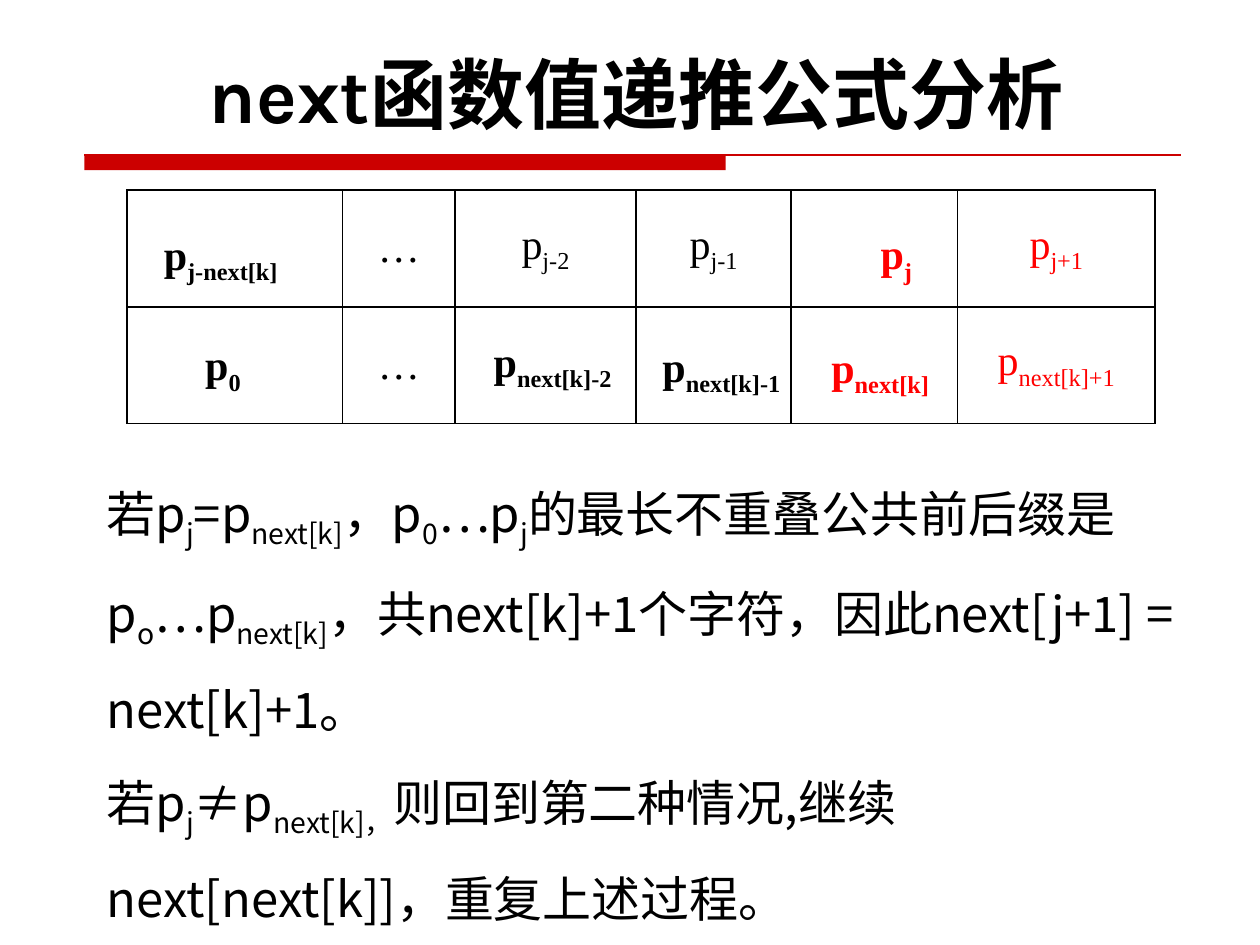
from lxml import etree
from pptx import Presentation
from pptx import util as u
from pptx.dml import color
from pptx.enum import shapes, text
from pptx.oxml import ns

COLORS = {"black": "000000", "red": "FF0000", "band": "CC0000", "white": "FFFFFF"}
SERIF = {"name": "Times New Roman", "size": u.Pt(24)}
SERIF_BOLD = {**SERIF, "bold": True}
BODY = {"name": "Noto Sans CJK SC", "size": u.Pt(28)}
TITLE = {"name": "Karla", "size": u.Pt(44), "bold": True}
CJK = "Noto Sans CJK SC"

COLUMNS = [1.71, 0.89, 1.44, 1.23, 1.32, 1.57]
CELLS = [
    [("", "black"), ("…", "black"), ("p|j-2", "black"),
     ("p|j-1", "black"), ("", "red"), ("p|j+1", "red")],
    [("", "black"), ("…", "black"), ("", "black"),
     ("", "black"), ("", "red"), ("p|next[k]+1", "red")],
]
LABELS = [
    ("p|j", (6.89, 1.76, 0.63, 0.5), "red"),
    ("p|next[k]", (6.5, 2.66, 1.1, 0.5), "red"),
    ("p|next[k]-1", (5.16, 2.65, 1.34, 0.5), "black"),
    ("p|next[k]-2", (3.82, 2.61, 1.34, 0.5), "black"),
]
PLATES = [
    ("p|j-next[k]", (1.3, 1.81, 1.18, 0.4), 0),
    ("p|0", (1.53, 2.64, 0.71, 0.5), None),
]
PARAGRAPHS = [
    "若p|j|=p|next[k]|，p|0|…p|j|的最长不重叠公共前后缀是",
    "p|o|…p|next[k]|，共next[k]+1个字符，因此next[j+1] = next[k]+1。",
    "若p|j|≠p|next[k]，|则回到第二种情况,继续next[next[k]]，重复上述过程。",
]


def rgb(name):
    return color.RGBColor.from_string(COLORS[name])


def add_runs(p, marked, font, ink="black"):
    for i, part in enumerate(marked.split("|")):
        r = p.add_run()
        r.text = part
        for key, value in font.items():
            setattr(r.font, key, value)
        r.font.color.rgb = rgb(ink)
        props = r._r.get_or_add_rPr()
        etree.SubElement(props, ns.qn("a:ea"), typeface=CJK)
        if i % 2:
            props.set("baseline", "-25000")


def add_text(s, box, lines, font, ink="black", align=None, spacing=None):
    sp = s.shapes.add_textbox(*map(u.Inches, box))
    tf = sp.text_frame
    tf.word_wrap = True
    for i, line in enumerate(lines):
        p = tf.add_paragraph() if i else tf.paragraphs[0]
        p.alignment = align
        p.line_spacing = spacing
        add_runs(p, line, font, ink)


def add_rectangle(s, box, fill):
    sp = s.shapes.add_shape(shapes.MSO_SHAPE.RECTANGLE, *map(u.Inches, box))
    sp.shadow.inherit = False
    sp.fill.solid()
    sp.fill.fore_color.rgb = rgb(fill)
    sp.line.fill.background()
    return sp


def add_title(s, box):
    add_text(s, box, ["next函数值递推公式分析"], TITLE,
             align=text.PP_ALIGN.CENTER, spacing=1.15)


def add_rule(s, box):
    left, top, width, height = box
    add_rectangle(s, (left, top, 5.09, height), "band")
    ends = map(u.Inches, (left, top, left + width, top))
    line = s.shapes.add_connector(shapes.MSO_CONNECTOR.STRAIGHT, *ends)
    line.line.color.rgb = rgb("band")
    line.line.width = u.Pt(0.75)
    etree.SubElement(line._element.spPr, ns.qn("a:effectLst"))


def add_borders(cell):
    props = cell._tc.get_or_add_tcPr()
    for side in "LRTB":
        ln = etree.SubElement(props, ns.qn(f"a:ln{side}"), w=str(u.Pt(1)))
        fill = etree.SubElement(ln, ns.qn("a:solidFill"))
        etree.SubElement(fill, ns.qn("a:srgbClr"), val=COLORS["black"])


def add_pattern_table(s, box):
    table = s.shapes.add_table(len(CELLS), len(COLUMNS), *map(u.Inches, box)).table
    table.first_row = table.horz_banding = False
    for column, width in zip(table.columns, COLUMNS):
        column.width = u.Inches(width)
    for i, row in enumerate(CELLS):
        table.rows[i].height = u.Inches(box[3] / len(CELLS))
        for j, (marked, ink) in enumerate(row):
            cell = table.cell(i, j)
            add_borders(cell)
            cell.fill.solid()
            cell.fill.fore_color.rgb = rgb("white")
            cell.vertical_anchor = text.MSO_ANCHOR.MIDDLE
            p = cell.text_frame.paragraphs[0]
            p.alignment = text.PP_ALIGN.CENTER
            if marked:
                add_runs(p, marked, SERIF, ink)


def add_plate(s, box, marked, inset):
    tf = add_rectangle(s, box, "white").text_frame
    tf.word_wrap = True
    tf.vertical_anchor = text.MSO_ANCHOR.TOP
    if inset is not None:
        for side in ("left", "top", "right", "bottom"):
            setattr(tf, f"margin_{side}", u.Inches(inset))
    p = tf.paragraphs[0]
    p.alignment = text.PP_ALIGN.LEFT
    add_runs(p, marked, SERIF_BOLD)


def add_labels(s):
    for marked, box, ink in LABELS:
        add_text(s, box, [marked], SERIF_BOLD, ink)
    for marked, box, inset in PLATES:
        add_plate(s, box, marked, inset)


def add_explanation(s, box):
    add_text(s, box, PARAGRAPHS, BODY, spacing=1.5)


def main():
    prs = Presentation()
    prs.slide_width, prs.slide_height = u.Inches(10), u.Inches(7.5)
    s = prs.slides.add_slide(prs.slide_layouts[6])
    add_rule(s, (0.67, 1.23, 8.7, 0.12))
    add_pattern_table(s, (1.01, 1.51, sum(COLUMNS), 1.85))
    add_explanation(s, (0.75, 3.52, 9.08, 3.94))
    add_labels(s)
    add_title(s, (0.51, 0.21, 9.08, 0.86))
    prs.save("out.pptx")


if __name__ == "__main__":
    main()
